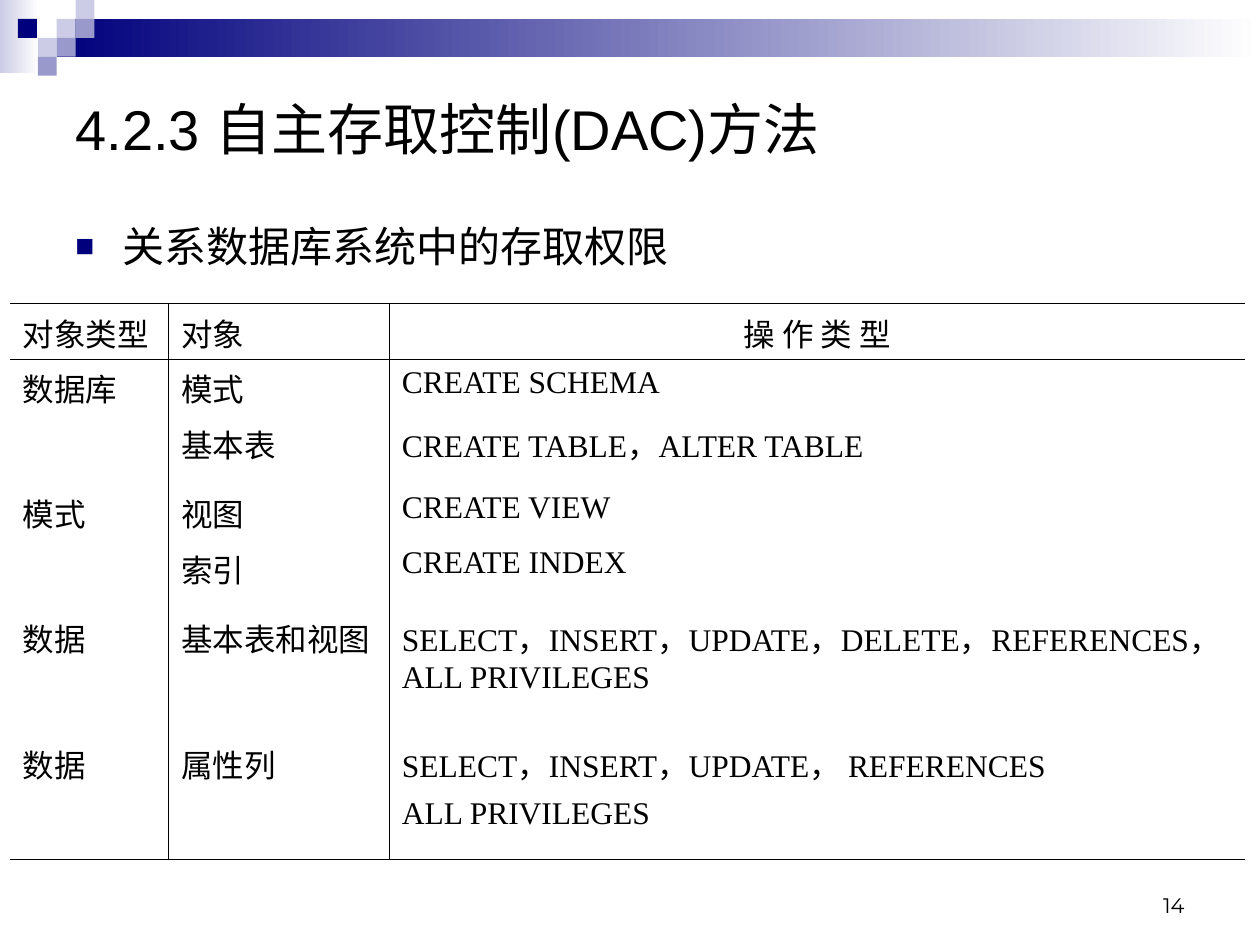
from pptx import Presentation
from pptx.dml.color import RGBColor
from pptx.enum.shapes import MSO_SHAPE
from pptx.enum.text import MSO_ANCHOR, PP_ALIGN
from pptx.oxml import parse_xml
from pptx.oxml.ns import nsdecls
from pptx.util import Inches, Pt

RECT = MSO_SHAPE.RECTANGLE
TOP, MIDDLE, BOTTOM = MSO_ANCHOR.TOP, MSO_ANCHOR.MIDDLE, MSO_ANCHOR.BOTTOM
LEFT, CENTER, RIGHT = PP_ALIGN.LEFT, PP_ALIGN.CENTER, PP_ALIGN.RIGHT
COLORS = {"navy": "00007D", "mid": "9999CC", "pale": "CCCCE6",
          "white": "FFFFFF", "ink": "000000"}
COLS, ROWS = 100, 75
PLAIN_TABLE = "{2D5ABB26-0587-4C30-8999-92F81FD0307C}"


class Deck:
    """Slide builder whose lengths are cells of a 100 by 75 grid."""

    def __init__(self):
        self.prs = Presentation()
        self.prs.slide_width, self.prs.slide_height = Inches(10), Inches(7.5)
        self.slide = self.prs.slides.add_slide(self.prs.slide_layouts[6])

    def x(self, cols):
        return round(self.prs.slide_width * cols / COLS)

    def y(self, rows):
        return round(self.prs.slide_height * rows / ROWS)

    def box(self, x, y, w, h):
        return self.x(x), self.y(y), self.x(w), self.y(h)

    def color(self, name):
        return RGBColor.from_string(COLORS[name])

    def rect(self, at, color, fade=None):
        sp = self.slide.shapes.add_shape(RECT, *self.box(*at))
        sp.shadow.inherit = False
        sp.line.fill.background()
        if fade:
            sp.fill.gradient()
            sp.fill.gradient_angle = 0
            for stop, name, pos in zip(sp.fill.gradient_stops, (color, fade), (0, 1)):
                stop.color.rgb = self.color(name)
                stop.position = pos
        else:
            sp.fill.solid()
            sp.fill.fore_color.rgb = self.color(color)

    def run(self, p, text, size, font, align=LEFT, hanging=False):
        p.alignment = align
        if hanging:
            pPr = p._p.get_or_add_pPr()
            pPr.set("marL", str(self.x(3.75)))
            pPr.set("indent", str(-self.x(3.75)))
        r = p.add_run()
        r.text = text
        r.font.size, r.font.name = Pt(size), font
        r.font.color.rgb = self.color("ink")

    def text(self, at, text, size, font, anchor=TOP, align=LEFT, bullet=False):
        tf = self.slide.shapes.add_textbox(*self.box(*at)).text_frame
        tf.word_wrap, tf.vertical_anchor = True, anchor
        p = tf.paragraphs[0]
        self.run(p, text, size, font, align, bullet)
        if bullet:
            p.space_before = Pt(6)
            pPr = p._p.get_or_add_pPr()
            for tag in (f'<a:buClr {nsdecls("a")}><a:srgbClr val="{COLORS["navy"]}"/></a:buClr>',
                        f'<a:buSzPct {nsdecls("a")} val="75000"/>',
                        f'<a:buFont {nsdecls("a")} typeface="Arial"/>',
                        f'<a:buChar {nsdecls("a")} char="■"/>'):
                pPr.append(parse_xml(tag))

    def borders(self, cell, sides):
        cell.fill.background()
        tcPr = cell._tc.get_or_add_tcPr()
        for i, side in enumerate("LRTB"):
            paint = (f'<a:solidFill><a:srgbClr val="{COLORS["ink"]}"/></a:solidFill>'
                     if side in sides else "<a:noFill/>")
            tcPr.insert(i, parse_xml(
                f'<a:ln{side} {nsdecls("a")} w="{Pt(0.45)}">{paint}</a:ln{side}>'))

    def table(self, x, y, widths, heights, data, size, font):
        at = self.box(x, y, sum(widths), sum(heights))
        tbl = self.slide.shapes.add_table(len(heights), len(widths), *at).table
        tbl.first_row = tbl.horz_banding = False
        tbl._tbl.tblPr.find("{*}tableStyleId").text = PLAIN_TABLE
        for col, w in zip(tbl.columns, widths):
            col.width = self.x(w)
        for row, h in zip(tbl.rows, heights):
            row.height = self.y(h)
        last_row, last_col = len(heights) - 1, len(widths) - 1
        for i, values in enumerate(data):
            for j, value in enumerate(values):
                cell = tbl.cell(i, j)
                tf = cell.text_frame
                for k, line in enumerate(value.split("\n") if value else []):
                    p = tf.add_paragraph() if k else tf.paragraphs[0]
                    align = CENTER if i == 0 and j == last_col else LEFT
                    self.run(p, line, size, font, align, True)
                sides = "L" * (j > 0) + "R" * (j < last_col)
                sides += "T" * (i < 2) + "B" * (i in (0, last_row))
                self.borders(cell, sides)


PERMISSIONS = [
    ("对象类型", "对象", "操 作 类 型"),
    ("数据库", "模式", "CREATE SCHEMA"),
    ("", "基本表", "CREATE TABLE，ALTER TABLE"),
    ("模式", "视图", "CREATE VIEW"),
    ("", "索引", "CREATE INDEX"),
    ("数据", "基本表和视图",
     "SELECT，INSERT，UPDATE，DELETE，REFERENCES，\nALL PRIVILEGES"),
    ("数据", "属性列", "SELECT，INSERT，UPDATE， REFERENCES"),
    ("", "", "ALL PRIVILEGES"),
]
TILE = 1.5
MOSAIC = [(3, 1, "pale"), (4, 0, "pale"), (4, 1, "mid"), (2, 2, "pale"),
          (0.95, 1, "navy"), (3, 2, "mid"), (2, 3, "mid")]


def main():
    deck = Deck()
    deck.rect((0, 0, 3.1, 5.8), "pale", "white")
    deck.rect((4.5, 1.5, 95.5, 3), "navy", "white")
    for col, row, color in MOSAIC:
        deck.rect((col * TILE, row * TILE, TILE, TILE), color)
    deck.text((71.7, 68.3, 23.3, 5), "14", 12, "Montserrat", BOTTOM, RIGHT)
    deck.text((5, 6.2, 90, 7.9), "4.2.3 自主存取控制(DAC)方法", 32, "Arial", MIDDLE)
    deck.text((5, 17, 90, 8.7), "关系数据库系统中的存取权限", 24, "Arial", bullet=True)
    deck.table(0.8, 24.1, (12.6, 17.5, 67.9),
               (4.4, 4.4, 5.5, 4.4, 5.5, 10, 4.4, 5.5),
               PERMISSIONS, 18, "Times New Roman")
    deck.prs.save("out.pptx")


if __name__ == "__main__":
    main()
